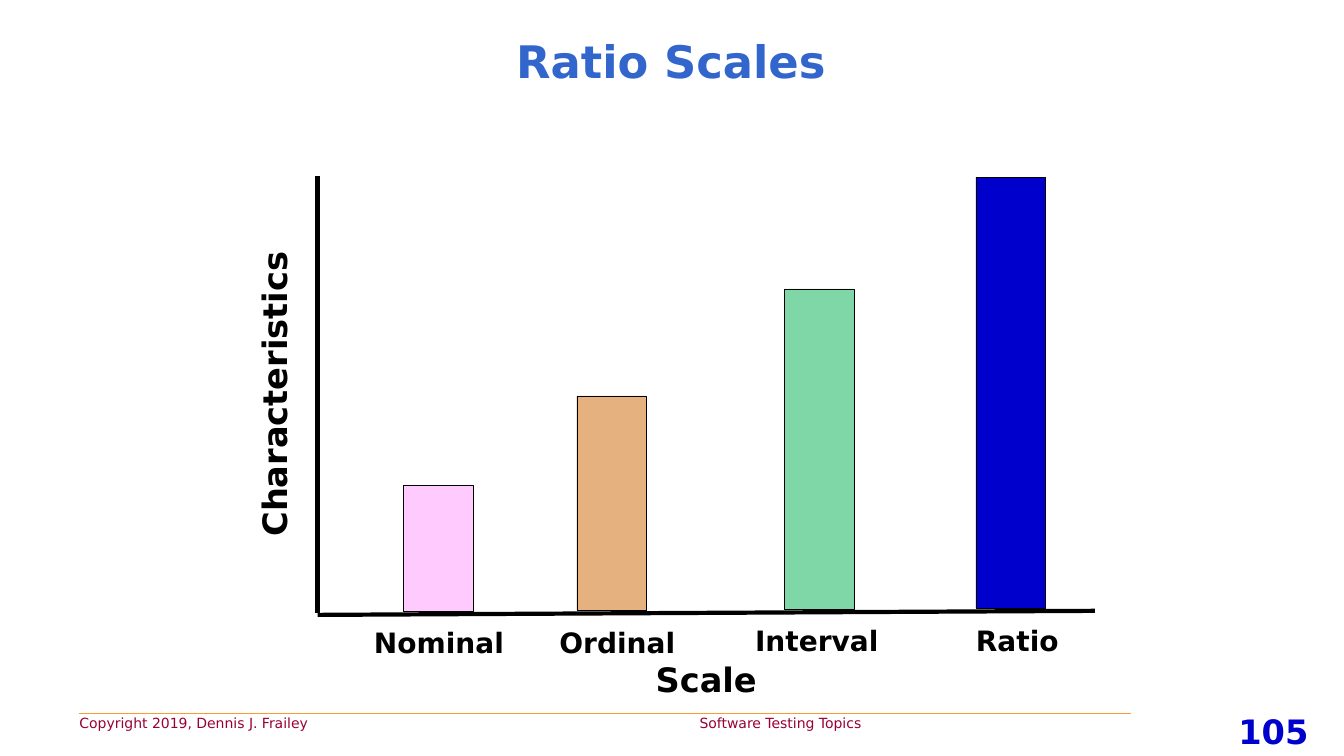
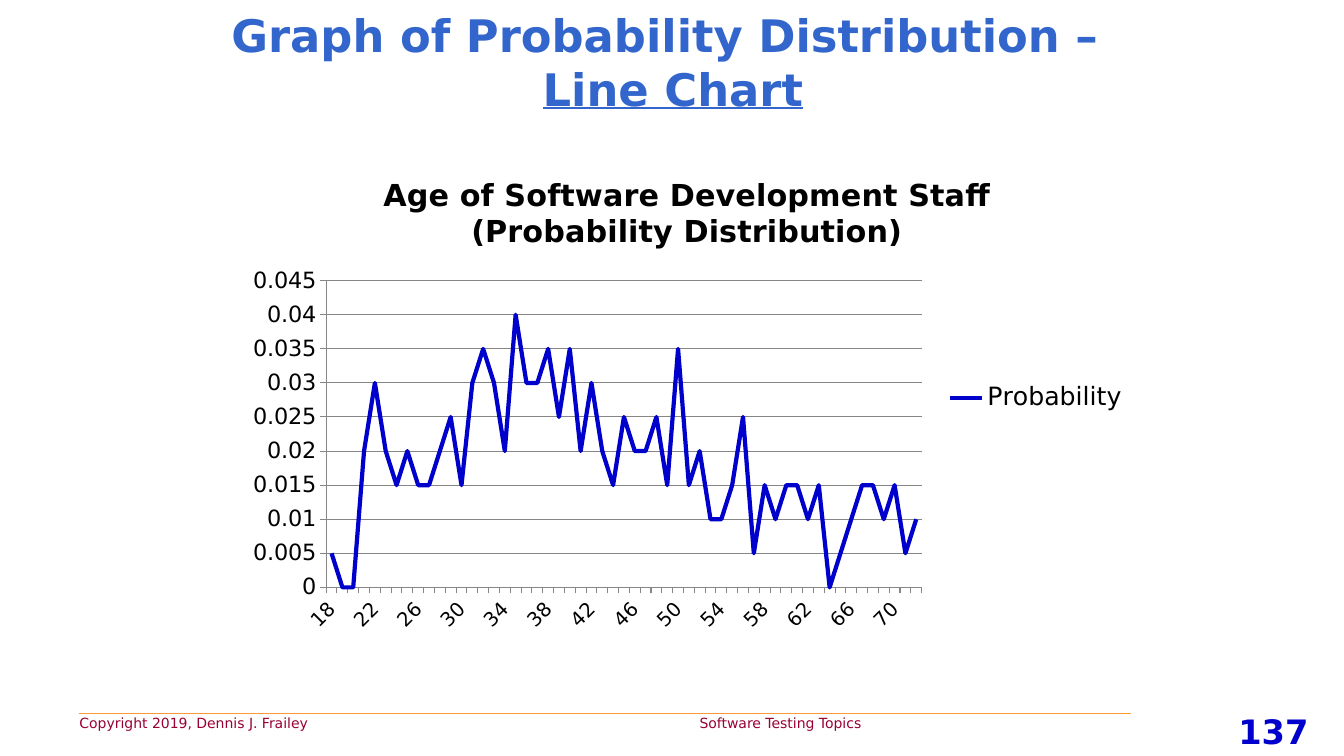
from lxml import etree
from pptx import Presentation
from pptx import util as u
from pptx.chart.data import CategoryChartData
from pptx.dml.color import RGBColor
from pptx.enum import chart as ch, shapes, text
from pptx.oxml import parse_xml
from pptx.oxml.ns import nsdecls, qn

WIDTH, HEIGHT = 13.33, 7.5
FONT = "DejaVu Sans"
BLACK = RGBColor(0x00, 0x00, 0x00)
WHITE = RGBColor(0xFF, 0xFF, 0xFF)
TITLE_BLUE = RGBColor(0x33, 0x66, 0xCC)
DEEP_BLUE = RGBColor(0x00, 0x00, 0xCC)
MAROON = RGBColor(0x99, 0x00, 0x33)
ORANGE = RGBColor(0xFF, 0x99, 0x33)
PINK = RGBColor(0xFF, 0x99, 0xFF)
BROWN = RGBColor(0xCC, 0x66, 0x00)
GREEN = RGBColor(0x00, 0xB0, 0x50)
GRID_GREY = RGBColor(0x86, 0x86, 0x86)
LEFT, CENTER = text.PP_ALIGN.LEFT, text.PP_ALIGN.CENTER

# name, bar left, bar height, colour, opaque, label left, label top, label alignment
# (lefts from the box's left, label tops from the box's bottom)
SCALES = [
    ("Nominal", 0.85, 1.25, PINK, False, 0.46, 0.06, LEFT),
    ("Ordinal", 2.57, 2.13, BROWN, False, 2.30, 0.06, LEFT),
    ("Interval", 4.63, 3.18, GREEN, False, 4.24, 0.04, LEFT),
    ("Ratio", 6.53, 4.28, DEEP_BLUE, True, 6.17, 0.04, CENTER),
]
FIRST_AGE = 18
# Probability of each age, in thousandths
PROBABILITIES = [
    5, 0, 0, 20, 30, 20, 15, 20, 15, 15, 20, 25, 15, 30, 35, 30, 20, 40, 30,
    30, 35, 25, 35, 20, 30, 20, 15, 25, 20, 20, 25, 15, 35, 15, 20, 10, 10,
    15, 25, 5, 15, 10, 15, 15, 10, 15, 0, 5, 10, 15, 15, 10, 15, 5, 10,
]


def inches(*lengths):
    return [u.Inches(length) for length in lengths]


def set_font(font, size, color, bold=False):
    font.name, font.size, font.bold = FONT, u.Pt(size), bold
    font.color.rgb = color


def add_text(page, box, words, size, color, bold=True, align=CENTER,
             anchor=text.MSO_ANCHOR.TOP, tab=None):
    """Place one paragraph and return its shape and paragraph."""
    shape = page.shapes.add_textbox(*inches(*box))
    frame = shape.text_frame
    frame.word_wrap = True
    frame.vertical_anchor = anchor
    para = frame.paragraphs[0]
    para.text = words
    para.alignment = align
    if tab:
        stops = etree.SubElement(para._p.get_or_add_pPr(), qn("a:tabLst"))
        etree.SubElement(stops, qn("a:tab"), pos=str(u.Inches(tab)), algn="l")
    set_font(para.font, size, color, bold)
    return shape, para


def add_line(page, start, end, color, weight):
    line = page.shapes.add_connector(shapes.MSO_CONNECTOR.STRAIGHT,
                                     *inches(*start, *end))
    line.line.color.rgb = color
    line.line.width = u.Pt(weight)
    etree.SubElement(line._element.spPr, qn("a:effectLst"))


def add_page(deck, number, title, title_box, underlined=None):
    """Add a page with the shared background, footer and title."""
    page = deck.slides.add_slide(deck.slide_layouts[6])
    page.background.fill.solid()
    page.background.fill.fore_color.rgb = WHITE

    # Footer
    add_line(page, (0.78, 7.08), (11.22, 7.08), ORANGE, 0.75)
    add_text(page, (0.69, 7.04, 10.64, 0.27),
             "Copyright 2019, Dennis J. Frailey\tSoftware Testing Topics",
             10, MAROON, bold=False, align=LEFT, tab=6.15)
    add_text(page, (11.93, 7, 1.4, 0.5), str(number), 24, DEEP_BLUE)

    # Title
    _, para = add_text(page, title_box, title, 32, TITLE_BLUE,
                       anchor=text.MSO_ANCHOR.MIDDLE)
    if underlined:
        para.add_line_break()
        span = para.add_run()
        span.text = underlined
        span.font.underline = True
    return page


def add_scale_diagram(page, left, top, width, height):
    """Draw the rising bars, their axes and labels."""
    bottom, rise = top + height, 0.04

    # Axes
    add_line(page, (left, bottom), (left + width, bottom - rise), BLACK, 3)
    add_line(page, (left, bottom - 0.02), (left, top), BLACK, 3)
    add_text(page, (left + 1.78, bottom + 0.39, 4.15, 0.5), "Scale", 24, BLACK)
    label, _ = add_text(page, (left - 2.51, top + 1.91, 4.15, 0.5),
                        "Characteristics", 24, BLACK)
    label.rotation = 270

    # Bars standing on the sloping axis
    for name, bar_left, tall, color, opaque, label_left, drop, align in SCALES:
        base = bottom - 0.03 - rise * bar_left / width
        bar = page.shapes.add_shape(
            shapes.MSO_SHAPE.RECTANGLE,
            *inches(left + bar_left, base - tall, 0.69, tall))
        bar.shadow.inherit = False
        bar.fill.solid()
        bar.fill.fore_color.rgb = color
        bar.line.color.rgb = BLACK
        bar.line.width = u.Pt(0.25)
        if not opaque:
            tint = bar._element.spPr.find(qn("a:solidFill"))[0]
            etree.SubElement(tint, qn("a:alpha"), val="50000")
        add_text(page, (left + label_left, bottom + drop, 1.54, 0.44),
                 name, 20, BLACK, align=align)


def place_plot(chart, x, y, w, h):
    """Fix the inner plot area, as shares of the chart."""
    area = chart._chartSpace.chart.plotArea
    for old in area.findall(qn("c:layout")):
        area.remove(old)
    sizes = "".join(f'<c:{tag} val="{share}"/>'
                    for tag, share in zip("xywh", (x, y, w, h)))
    area.insert(0, parse_xml(
        f'<c:layout {nsdecls("c")}><c:manualLayout><c:layoutTarget val="inner"/>'
        f'<c:xMode val="edge"/><c:yMode val="edge"/>{sizes}'
        '</c:manualLayout></c:layout>'))


def add_age_chart(page, *box):
    data = CategoryChartData(number_format="General")
    data.categories = [str(FIRST_AGE + step) for step in range(len(PROBABILITIES))]
    data.add_series("Probability", [value / 1000 for value in PROBABILITIES])
    chart = page.shapes.add_chart(ch.XL_CHART_TYPE.LINE, *inches(*box), data).chart
    set_font(chart.font, 18, BLACK)
    place_plot(chart, 0.1, 0.26, 0.66, 0.63)

    # Title and legend
    chart.has_title = True
    para = chart.chart_title.text_frame.paragraphs[0]
    para.text = "Age of Software Development Staff (Probability Distribution)"
    set_font(para.font, 21.6, BLACK, bold=True)
    chart.has_legend = True
    chart.legend.position = ch.XL_LEGEND_POSITION.RIGHT
    chart.legend.include_in_layout = False

    # Line
    chart.plots[0].vary_by_categories = False
    series = chart.plots[0].series[0]
    series.smooth = False
    series.format.line.color.rgb = DEEP_BLUE
    series.format.line.width = u.Pt(3)

    # Axes
    ages, values = chart.category_axis, chart.value_axis
    for axis, size in ((ages, 14), (values, 16)):
        set_font(axis.tick_labels.font, size, BLACK)
        axis.major_tick_mark = ch.XL_TICK_MARK.OUTSIDE
        axis.format.line.color.rgb = GRID_GREY
    values.minimum_scale, values.maximum_scale = 0, 0.045
    values.major_unit = 0.005
    values.has_major_gridlines = True
    values.major_gridlines.format.line.color.rgb = GRID_GREY
    ages._element.txPr.find(qn("a:bodyPr")).set("rot", "-2700000")
    ages._element.find(qn("c:noMultiLvlLbl")).addprevious(
        parse_xml(f'<c:tickLblSkip {nsdecls("c")} val="4"/>'))


def main():
    deck = Presentation()
    deck.slide_width, deck.slide_height = inches(WIDTH, HEIGHT)

    page = add_page(deck, 105, "Ratio Scales", (3.15, 0.29, 7.01, 0.63))
    add_scale_diagram(page, 3.15, 1.75, 7.71, 4.35)

    page = add_page(deck, 137, "Graph of Probability Distribution – ",
                    (1.72, 0, 9.91, 1.22), underlined="Line Chart")
    add_age_chart(page, 2.34, 1.53, 8.95, 4.83)

    deck.save("out.pptx")


if __name__ == "__main__":
    main()
